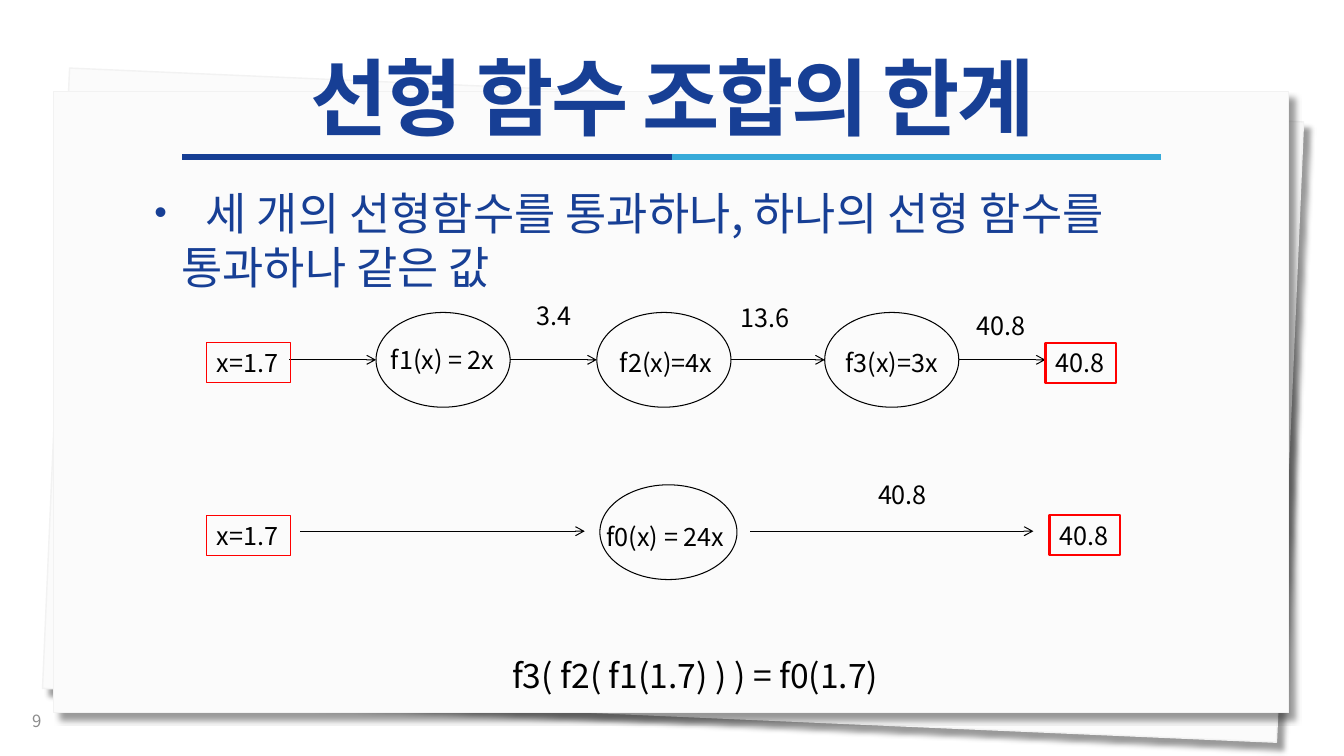
from lxml import etree
from pptx import Presentation
from pptx.dml.color import RGBColor
from pptx.enum.shapes import MSO_CONNECTOR, MSO_SHAPE
from pptx.enum.text import MSO_ANCHOR, MSO_AUTO_SIZE, PP_ALIGN
from pptx.oxml.ns import qn
from pptx.util import Pt

RECT, OVAL = MSO_SHAPE.RECTANGLE, MSO_SHAPE.OVAL
LINE = MSO_CONNECTOR.STRAIGHT
TOP, MID = MSO_ANCHOR.TOP, MSO_ANCHOR.MIDDLE
LEFT, CENTER = PP_ALIGN.LEFT, PP_ALIGN.CENTER
GROW, FIXED = MSO_AUTO_SIZE.SHAPE_TO_FIT_TEXT, MSO_AUTO_SIZE.NONE

FONT = "Noto Sans CJK KR"
NAVY, BLUE, SKY = "173F95", "163E94", "36AAD9"
BLACK, RED, GRAY, WHITE = "000000", "FF0000", "8C8C8C", "FFFFFF"
PAPER, EDGE = "FBFBFB", "F2F2F2"


def px(n):
    return n * 9144


def rgb(code):
    return RGBColor.from_string(code)


def put(item, style):
    for name, value in style.items():
        setattr(item, name, value)


def node(root, tag, **attrs):
    return etree.SubElement(root, qn(tag), {k: str(v) for k, v in attrs.items()})


class Page:
    def __init__(self, deck):
        self.slide = deck.slides.add_slide(deck.slide_layouts[1])
        self.shapes = self.slide.shapes
        self.front = []

    def place(self, item, box):
        put(item, dict(zip(("left", "top", "width", "height"), map(px, box))))

    def letter(self, item, text, size=18, color=BLACK, bold=False,
               align=LEFT, anchor=TOP, wrap=True, fit=GROW, gap=1.0):
        frame = item.text_frame
        frame.text = text
        put(frame, {"word_wrap": wrap, "auto_size": fit, "vertical_anchor": anchor})
        para = frame.paragraphs[0]
        put(para, {"alignment": align, "line_spacing": gap, "space_before": Pt(0)})
        font = para.runs[0].font
        put(font, {"name": FONT, "size": Pt(size), "bold": bold})
        font.color.rgb = rgb(color)
        node(font._element, "a:ea", typeface=FONT)
        return para

    def title(self, box, text):
        item = self.shapes.title
        self.place(item, box)
        para = self.letter(item, text, 60, NAVY, True, CENTER, MID, fit=FIXED, gap=0.9)
        props = para.runs[0].font._element
        props.set("spc", "-190")
        edge = etree.Element(qn("a:ln"), {"w": str(Pt(2))})
        node(node(edge, "a:solidFill"), "a:srgbClr", val=WHITE)
        props.insert(0, edge)
        self.front.append(item)

    def body(self, box, text):
        item = self.slide.placeholders[1]
        self.place(item, box)
        props = self.letter(item, text, 32, NAVY)._p.get_or_add_pPr()
        props.set("marL", str(px(29)))
        props.set("indent", str(px(-27)))
        node(props, "a:buSzPct", val=80000)
        node(props, "a:buFont", typeface="Arial")
        node(props, "a:buChar", char="•")
        tabs = node(props, "a:tabLst")
        node(tabs, "a:tab", pos=px(53), algn="l")
        self.front.append(item)

    def shape(self, kind, box, line, width=0.75, fill=None):
        item = self.shapes.add_shape(kind, *map(px, box))
        item.shadow.inherit = False
        if fill:
            item.fill.solid()
            item.fill.fore_color.rgb = rgb(fill)
        else:
            item.fill.background()
        item.line.color.rgb = rgb(line)
        item.line.width = Pt(width)
        return item

    def sheet(self, box, turn):
        item = self.shape(RECT, box, EDGE, 1, PAPER)
        item.rotation = turn
        cast = node(item._element.spPr.find(qn("a:effectLst")), "a:outerShdw",
                    blurRad=Pt(4), dist=Pt(7), dir=45 * 60000, algn="tl", rotWithShape=0)
        node(node(cast, "a:srgbClr", val=BLACK), "a:alpha", val=40000)

    def line(self, start, end, color=BLACK, width=0.75, arrow=True):
        item = self.shapes.add_connector(LINE, *map(px, start + end))
        item.line.color.rgb = rgb(color)
        item.line.width = Pt(width)
        props = item._element.spPr
        if arrow:
            node(props.find(qn("a:ln")), "a:tailEnd", type="arrow")
        node(props, "a:effectLst")

    def label(self, box, text, **style):
        item = self.shapes.add_textbox(*map(px, box))
        self.letter(item, text, **style)

    def value(self, box, text, width=0.75, wrap=False):
        self.letter(self.shape(RECT, box, RED, width), text, wrap=wrap)

    def lift(self):
        tree = self.shapes._spTree
        for item in self.front:
            tree.append(item._element)


def main():
    deck = Presentation()
    put(deck, {"slide_width": px(1333), "slide_height": px(750)})
    page = Page(deck)

    page.sheet((55, 94, 1225, 616), 2.5)
    page.sheet((53, 91, 1225, 616), 0)
    page.line((181, 156), (667, 156), BLUE, 4.5, False)
    page.line((667, 156), (1152, 156), SKY, 4.5, False)
    page.title((0, 56, 1334, 90), "선형 함수 조합의 한계")
    page.body((141, 179, 1059, 64),
              "\t세 개의 선형함수를 통과하나, 하나의 선형 함수를 통과하나 같은 값")
    page.label((22, 695, 300, 40), "9", size=12, color=GRAY, anchor=MID)

    for box in ((373, 310, 133, 94), (592, 310, 133, 94),
                (818, 310, 133, 94), (595, 481, 136, 94)):
        page.shape(OVAL, box, BLACK)
    for left, right, y in ((287, 373, 357), (506, 592, 357), (725, 818, 357),
                           (951, 1037, 357), (298, 580, 527), (744, 1025, 527)):
        page.line((left, y), (right, y))

    for x, y, width, text in ((378, 337, 130, "f1(x) = 2x"), (605, 340, 112, "f2(x)=4x"),
                              (829, 340, 133, "f3(x)=3x"), (592, 512, 144, "f0(x) = 24x")):
        page.label((x, y, width, 40), text, wrap=False)
    for x, y, text in ((522, 293, "3.4"), (725, 295, "13.6"),
                       (959, 303, "40.8"), (861, 471, "40.8")):
        page.label((x, y, 125, 40), text)

    for y, right in ((340, 1037), (511, 1041)):
        page.value((205, y, 83, 40), "x=1.7")
        page.value((right, y, 70, 40), "40.8", 1.5, True)
    page.label((498, 645, 531, 50), "f3( f2( f1(1.7) ) ) = f0(1.7)", size=24)

    page.lift()
    deck.save("out.pptx")


if __name__ == "__main__":
    main()
